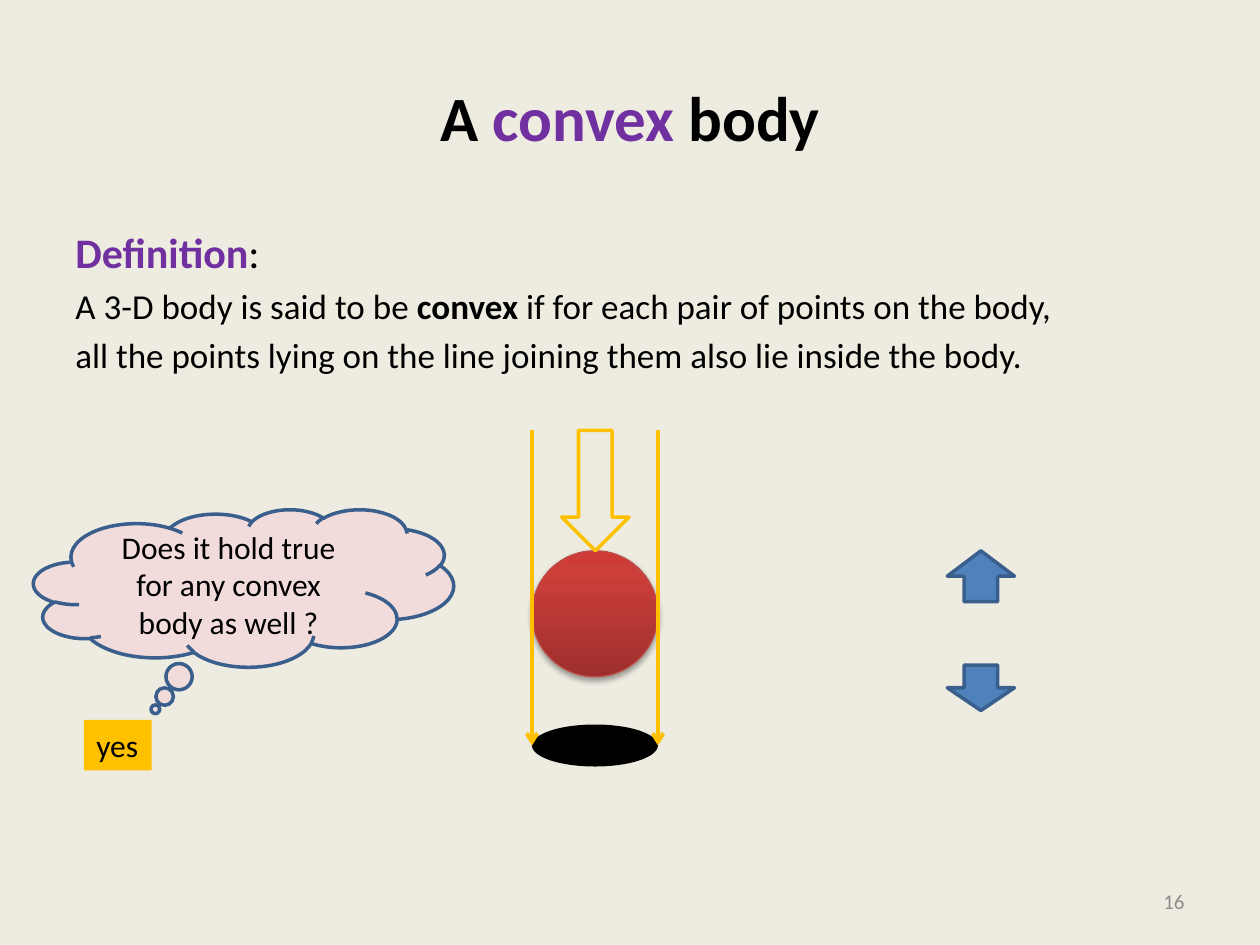
from copy import deepcopy

from lxml import etree
from pptx import Presentation
from pptx.dml.color import RGBColor
from pptx.enum.shapes import MSO_CONNECTOR, MSO_SHAPE
from pptx.enum.text import MSO_ANCHOR, MSO_AUTO_SIZE, PP_ALIGN
from pptx.oxml import parse_xml
from pptx.oxml.ns import nsdecls, qn
from pptx.util import Pt

LEFT, CENTER, RIGHT = PP_ALIGN.LEFT, PP_ALIGN.CENTER, PP_ALIGN.RIGHT
TOP, MIDDLE = MSO_ANCHOR.TOP, MSO_ANCHOR.MIDDLE
OVAL, CLOUD = MSO_SHAPE.OVAL, MSO_SHAPE.CLOUD_CALLOUT
DOWN, UP = MSO_SHAPE.DOWN_ARROW, MSO_SHAPE.UP_ARROW
STRAIGHT = MSO_CONNECTOR.STRAIGHT
BLACK, PURPLE, GOLD, BLUE = "000000", "7030A0", "FFC000", "3A5F8C"


def color(value):
    return RGBColor.from_string(value)


def write(box, paragraphs, align=LEFT, anchor=TOP, wrap=True):
    """Each paragraph is (size, space before, [(text, colour, bold), ...])."""
    frame = box.text_frame
    frame.word_wrap = wrap
    frame.vertical_anchor = anchor
    for index, (size, space, spans) in enumerate(paragraphs):
        para = frame.add_paragraph() if index else frame.paragraphs[0]
        para.alignment = align
        para.space_before = Pt(space)
        for text, shade, bold in spans:
            span = para.add_run()
            span.text = text
            span.font.name = "Calibri"
            span.font.size = Pt(size)
            span.font.bold = bold
            span.font.color.rgb = color(shade)


deck = Presentation()
deck.slide_width, deck.slide_height = Pt(720), Pt(540)
page = deck.slides.add_slide(deck.slide_layouts[6])
page.background.fill.solid()
page.background.fill.fore_color.rgb = color("EEECE1")

# Title, definition and page number
texts = [
    ((36, 21.6, 648, 90), CENTER, MIDDLE, [
        (36, 0, [("A ", BLACK, True), ("convex", PURPLE, True),
                 (" body", BLACK, True)])]),
    ((36, 126, 648, 356.4), LEFT, TOP, [
        (24, 0, [("Definition", PURPLE, True), (":", BLACK, False)]),
        (20, 4, [("A 3-D body is said to be ", BLACK, False),
                 ("convex", BLACK, True),
                 (" if for each pair of points on the body,", BLACK, False)]),
        (20, 4, [("all the points lying on the line joining them also lie "
                  "inside the body.", BLACK, False)])]),
    ((516, 500.5, 168, 28.75), RIGHT, MIDDLE, [
        (12, 0, [("16", "8C8C8C", False)])]),
]
for place, align, anchor, paragraphs in texts:
    box = page.shapes.add_textbox(*map(Pt, place))
    write(box, paragraphs, align, anchor)

# Ball, with a vertical gradient and a soft shadow
ball_left, ball_top, ball_size = 304, 314.75, 72
ball = page.shapes.add_shape(
    OVAL, Pt(ball_left), Pt(ball_top), Pt(ball_size), Pt(ball_size))
ball.line.color.rgb = color("BF4C48")
ball.line.width = Pt(0.75)
ball.fill.gradient()
ball.fill.gradient_angle = 90
stop_list = ball._element.spPr.find(qn("a:gradFill")).find(qn("a:gsLst"))
stop_list.append(deepcopy(stop_list[0]))
stops = [(0, "9C2F2D"), (0.8, "CB3E3A"), (1, "CE3B37")]
for stop, (position, shade) in zip(ball.fill.gradient_stops, stops):
    stop.position = position
    stop.color.rgb = color(shade)
ball.shadow.inherit = False
ball._element.spPr.find(qn("a:effectLst")).append(parse_xml(
    f'<a:outerShdw {nsdecls("a")} blurRad="40000" dist="23000" dir="5400000" '
    'rotWithShape="0"><a:srgbClr val="000000"><a:alpha val="35000"/>'
    '</a:srgbClr></a:outerShdw>'))

# Ground shadow of the ball
ground = page.shapes.add_shape(OVAL, Pt(ball_left), Pt(414), Pt(ball_size), Pt(24))
ground.shadow.inherit = False
ground.fill.solid()
ground.fill.fore_color.rgb = color(BLACK)
ground.line.fill.background()

# Light rays along both sides of the ball
for x in (ball_left, ball_left + ball_size):
    ray = page.shapes.add_connector(STRAIGHT, Pt(x), Pt(246), Pt(x), Pt(426))
    ray.line.color.rgb = color(GOLD)
    ray.line.width = Pt(2.25)
    etree.SubElement(ray.line._get_or_add_ln(), qn("a:tailEnd"), type="arrow")
    etree.SubElement(ray._element.spPr, qn("a:effectLst"))

# Light arrow, thought cloud and the two block arrows
outlined = [
    (DOWN, (321, 246, 38.4, 68.75), None, GOLD),
    (CLOUD, (19.2, 291, 240, 90), "F2DCDB", BLUE),
    (DOWN, (541.3, 380, 38.4, 26), "4F81BD", BLUE),
    (UP, (541.3, 314.75, 38.4, 29), "4F81BD", BLUE),
]
for kind, place, fill, line in outlined:
    shape = page.shapes.add_shape(kind, *map(Pt, place))
    shape.shadow.inherit = False
    shape.line.color.rgb = color(line)
    shape.line.width = Pt(2)
    if fill:
        shape.fill.solid()
        shape.fill.fore_color.rgb = color(fill)
    else:
        shape.fill.background()
    if kind == CLOUD:
        shape.adjustments[0] = -0.21
        shape.adjustments[1] = 0.77
        question = "Does it hold true for any convex body as well ?"
        write(shape, [(18, 0, [(question, BLACK, False)])], CENTER, MIDDLE)

# Answer
answer = page.shapes.add_textbox(Pt(48), Pt(411.3), Pt(38.7), Pt(29))
answer.fill.solid()
answer.fill.fore_color.rgb = color(GOLD)
write(answer, [(18, 0, [("yes", BLACK, False)])], wrap=False)
answer.text_frame.auto_size = MSO_AUTO_SIZE.SHAPE_TO_FIT_TEXT

deck.save("out.pptx")
